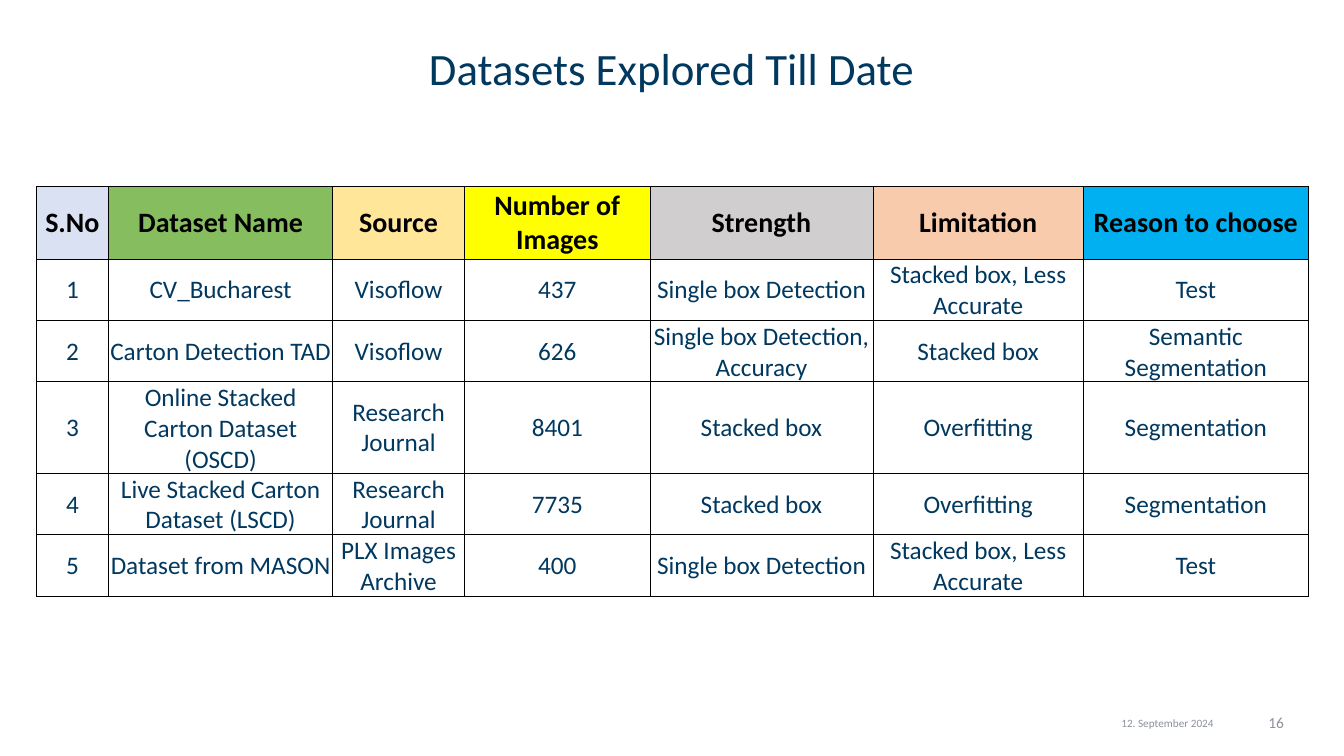
"""Build the slide that compares the explored carton datasets."""
from lxml.etree import SubElement
from pptx import Presentation
from pptx.dml.color import RGBColor
from pptx.enum.text import MSO_ANCHOR as Anchor, PP_ALIGN as Align
from pptx.oxml.ns import qn
from pptx.util import Cm, Pt

TITLE = "Datasets Explored Till Date"
COLUMNS = [
    ("S.No", 1.83, "D9E1F2"),
    ("Dataset Name", 5.64, "85BD5F"),
    ("Source", 3.33, "FFE699"),
    ("Number of Images", 4.67, "FFFF00"),
    ("Strength", 5.62, "D0CECE"),
    ("Limitation", 5.3, "F8CBAD"),
    ("Reason to choose", 5.67, "00B0F0"),
]
DATASETS = [
    ("CV_Bucharest", "Visoflow", "437", "Single box Detection",
     "Stacked box, Less Accurate", "Test"),
    ("Carton Detection TAD", "Visoflow", "626", "Single box Detection, Accuracy",
     "Stacked box", "Semantic Segmentation"),
    ("Online Stacked Carton Dataset (OSCD)", "Research Journal", "8401",
     "Stacked box", "Overfitting", "Segmentation"),
    ("Live Stacked Carton Dataset (LSCD)", "Research Journal", "7735",
     "Stacked box", "Overfitting", "Segmentation"),
    ("Dataset from MASON", "PLX Images Archive", "400", "Single box Detection",
     "Stacked box, Less Accurate", "Test"),
]
ROW_HEIGHTS = [1.83, 1.37, 1.3, 1.37, 1.37, 1.37]
FOOTERS = [
    ("12. September 2024", 27.33, 4.19, 0.13, 8, Align.CENTER),
    ("16", 31.55, 0.81, 0.03, 11, Align.RIGHT),
]
NAVY, GREY, BLACK, WHITE = "00385F", "8C919D", "000000", "FFFFFF"


def color(value):
    return RGBColor.from_string(value)


def write(frame, text, size, ink, align=Align.CENTER, bold=False):
    frame.text = text
    frame.word_wrap = True
    paragraph = frame.paragraphs[0]
    paragraph.alignment = align
    font = paragraph.runs[0].font
    font.name, font.size, font.bold = "Calibri", Pt(size), bold
    font.color.rgb = color(ink)
    return paragraph


def set_margins(area, left, top, right, bottom):
    area.margin_left, area.margin_top = Cm(left), Cm(top)
    area.margin_right, area.margin_bottom = Cm(right), Cm(bottom)


def add_borders(cell):
    properties = cell._tc.get_or_add_tcPr()
    for index, side in enumerate(("lnL", "lnR", "lnT", "lnB")):
        line = properties.makeelement(qn(f"a:{side}"), {"w": str(Pt(0.5))})
        fill = SubElement(line, qn("a:solidFill"))
        SubElement(fill, qn("a:srgbClr"), val=BLACK)
        properties.insert(index, line)


def add_title(slide):
    title = slide.shapes.title
    title.left, title.top = Cm(1.52), Cm(1.17)
    title.width, title.height = Cm(30.81), Cm(1.35)
    set_margins(title.text_frame, 0, 0, 0, 0)
    title.text_frame.vertical_anchor = Anchor.TOP
    write(title.text_frame, TITLE, 32, NAVY).line_spacing = 0.9


def add_dataset_table(slide):
    rows = [[name for name, _, _ in COLUMNS]]
    rows += [(str(number), *dataset) for number, dataset in enumerate(DATASETS, 1)]
    width = sum(column_width for _, column_width, _ in COLUMNS)
    table = slide.shapes.add_table(
        len(rows), len(COLUMNS), Cm(0.91), Cm(4.7), Cm(width), Cm(sum(ROW_HEIGHTS))
    ).table
    for column, (_, column_width, _) in zip(table.columns, COLUMNS):
        column.width = Cm(column_width)
    for r, (row, height) in enumerate(zip(rows, ROW_HEIGHTS)):
        table.rows[r].height = Cm(height)
        header = r == 0
        for c, text in enumerate(row):
            cell = table.cell(r, c)
            cell.vertical_anchor = Anchor.MIDDLE
            set_margins(cell, 0.02, 0.02, 0.02, 0)
            cell.fill.solid()
            cell.fill.fore_color.rgb = color(COLUMNS[c][2] if header else WHITE)
            write(cell.text_frame, text, 20 if header else 18,
                  BLACK if header else NAVY, bold=header)
            add_borders(cell)


def add_footers(slide):
    for text, left, width, inset, size, align in FOOTERS:
        box = slide.shapes.add_textbox(Cm(left), Cm(17.93), Cm(width), Cm(0.41))
        set_margins(box.text_frame, 0, inset, 0, 0)
        write(box.text_frame, text, size, GREY, align)


def main():
    deck = Presentation()
    deck.slide_width, deck.slide_height = Cm(33.87), Cm(19.05)
    slide = deck.slides.add_slide(deck.slide_layouts[5])
    add_title(slide)
    add_footers(slide)
    add_dataset_table(slide)
    deck.save("out.pptx")


if __name__ == "__main__":
    main()
